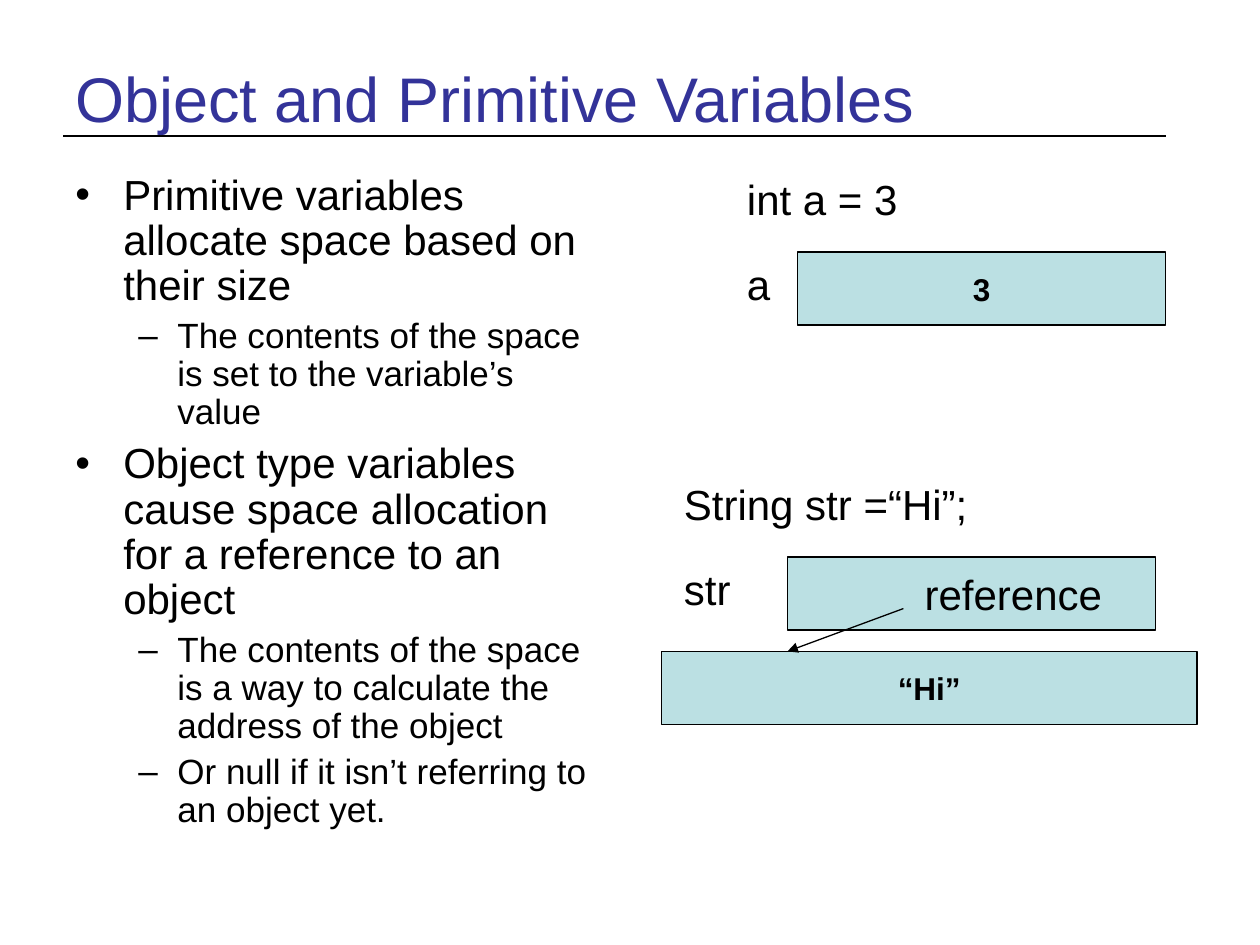
from lxml.etree import SubElement as Sub
from pptx import Presentation
from pptx.dml.color import RGBColor as Rgb
from pptx.enum.shapes import MSO_CONNECTOR as Conn, MSO_SHAPE as Shape
from pptx.enum.text import MSO_ANCHOR as Anchor, PP_ALIGN as Align
from pptx.oxml.ns import qn
from pptx.util import Inches, Pt

COLORS = {"title": "333399", "ink": "000000", "fill": "BBE0E3"}
LEVELS = [
    {"mark": "•", "size": 24, "left": 0.38, "hang": 0.38, "gap": 6},
    {"mark": "–", "size": 20, "left": 0.81, "hang": 0.31, "gap": 5},
]
POINTS = [
    (0, "Primitive variables allocate space based on their size"),
    (1, "The contents of the space is set to the variable’s value"),
    (0, "Object type variables cause space allocation for a reference to an object"),
    (1, "The contents of the space is a way to calculate the address of the object"),
    (1, "Or null if it isn’t referring to an object yet."),
]


def color(name):
    """Return the named colour."""
    return Rgb.from_string(COLORS[name])


def style(para, size, tint="ink", bold=False):
    """Format the runs of a paragraph."""
    for run in para.runs:
        font = run.font
        font.name, font.size, font.bold = "Arial", Pt(size), bold
        font.color.rgb = color(tint)


def add_text(slide, box, text, size=24, tint="ink"):
    """Add a one-paragraph text box and return its frame."""
    frame = slide.shapes.add_textbox(*map(Inches, box)).text_frame
    frame.word_wrap = True
    frame.text = text
    style(frame.paragraphs[0], size, tint)
    return frame


def add_cell(slide, box, text=""):
    """Add a memory cell with an optional bold value."""
    cell = slide.shapes.add_shape(Shape.RECTANGLE, *map(Inches, box))
    cell.shadow.inherit = False
    cell.fill.solid()
    cell.fill.fore_color.rgb = color("fill")
    cell.line.color.rgb = color("ink")
    cell.line.width = Pt(0.75)
    if text:
        frame = cell.text_frame
        frame.text = text
        frame.vertical_anchor = Anchor.MIDDLE
        para = frame.paragraphs[0]
        para.alignment = Align.CENTER
        style(para, 18, bold=True)


def add_line(slide, start, end, width, arrow=False):
    """Draw a straight line, with an arrowhead at its end if asked."""
    line = slide.shapes.add_connector(Conn.STRAIGHT, *map(Inches, start + end))
    line.line.color.rgb = color("ink")
    line.line.width = Pt(width)
    props = line._element.spPr
    if arrow:
        Sub(props.find(qn("a:ln")), qn("a:tailEnd"), type="triangle")
    Sub(props, qn("a:effectLst"))


def add_title(slide, box, text):
    """Place the heading and the rule under it."""
    left, top, width, height = box
    rule = top + 0.78
    add_line(slide, (left, rule), (left + width - 0.25, rule), 1.5)
    frame = add_text(slide, box, text, 36, "title")
    frame.vertical_anchor = Anchor.MIDDLE


def add_points(slide, box, points):
    """Place the two-level bullet list."""
    frame = slide.shapes.add_textbox(*map(Inches, box)).text_frame
    frame.word_wrap = True
    for num, (level, text) in enumerate(points):
        para = frame.add_paragraph() if num else frame.paragraphs[0]
        look = LEVELS[level]
        para.text = text
        para.level = level
        para.line_spacing = 0.9
        para.space_before = Pt(look["gap"] if num else 0)
        props = para._p.get_or_add_pPr()
        props.set("marL", str(Inches(look["left"])))
        props.set("indent", str(-Inches(look["hang"])))
        Sub(props, qn("a:buFont"), typeface="Arial")
        Sub(props, qn("a:buChar"), char=look["mark"])
        style(para, look["size"])


def add_value(slide, box):
    """Place the primitive variable and its cell."""
    left, top, width, height = box
    row = top + 0.67
    add_text(slide, (left, top, 1.5, 0.5), "int a = 3")
    add_text(slide, (left, row, 0.42, 0.5), "a")
    add_cell(slide, (left + 0.5, row, width - 0.5, height - 0.67), "3")


def add_object(slide, box):
    """Place the object variable, its reference and the object."""
    left, top, width, height = box
    row, base = top + 0.67, top + 1.42
    cell = left + 1
    add_text(slide, (left + 0.08, top, 2.55, 0.5), "String str =“Hi”;")
    add_text(slide, (left + 0.08, row, 0.72, 0.5), "str")
    add_cell(slide, (cell, row, 2.92, 0.58))
    add_cell(slide, (left, base, width, height - 1.42), "“Hi”")
    add_line(slide, (cell + 0.92, row + 0.41), (cell, base), 0.75, True)
    add_text(slide, (cell + 0.99, row + 0.04, 1.7, 0.5), "reference")


def main():
    """Build and save the slide."""
    deck = Presentation()
    deck.slide_width, deck.slide_height = Inches(10), Inches(7.5)
    slide = deck.slides.add_slide(deck.slide_layouts[6])
    add_title(slide, (0.5, 0.3, 9, 0.95), "Object and Primitive Variables")
    add_points(slide, (0.5, 1.33, 4.42, 5.37), POINTS)
    add_value(slide, (5.83, 1.33, 3.42, 1.25))
    add_object(slide, (5.25, 3.75, 4.25, 2))
    deck.save("out.pptx")


if __name__ == "__main__":
    main()
